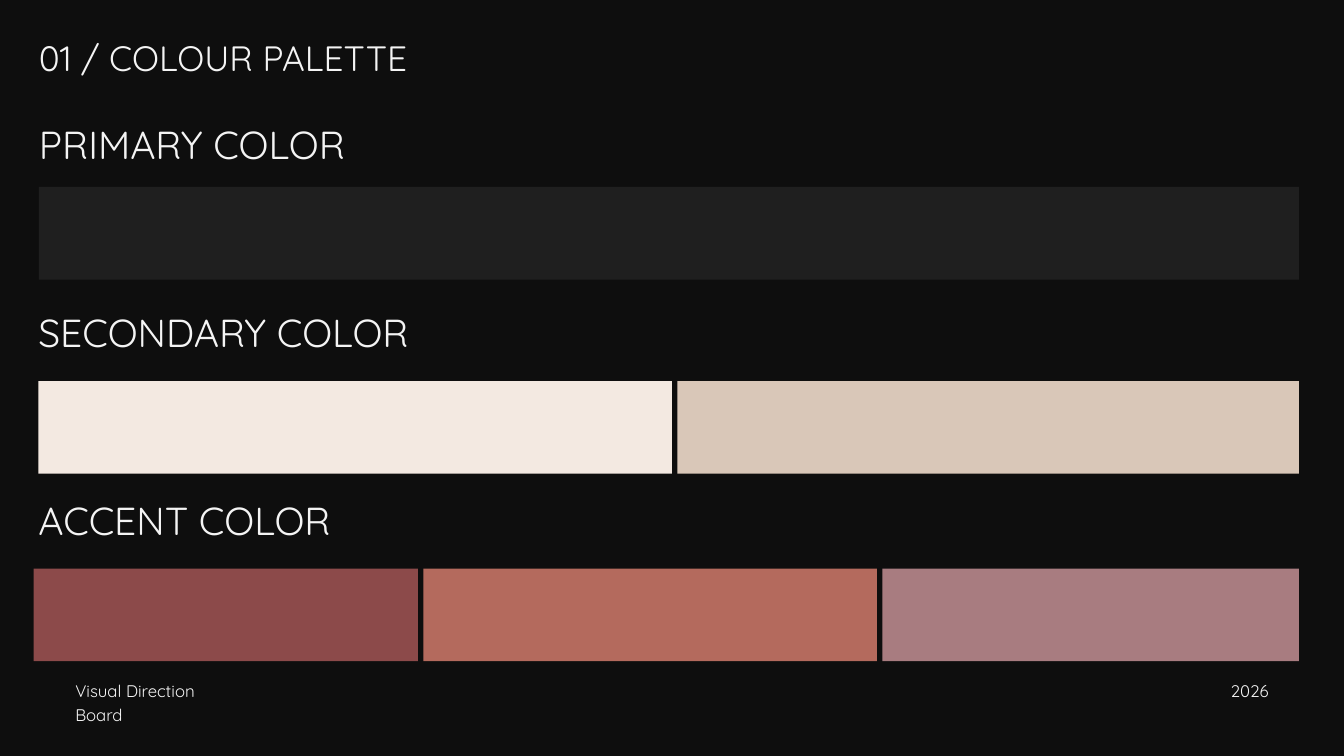
from pptx import Presentation
from pptx.dml.color import RGBColor
from pptx.enum import shapes, text
from pptx.util import Inches, Pt

BACK = RGBColor(0x0E, 0x0E, 0x0E)
LIGHT = RGBColor(0xF4, 0xF4, 0xF4)
COAL = RGBColor(0x1F, 0x1F, 0x1F)
CREAM = RGBColor(0xF3, 0xE9, 0xE1)
SAND = RGBColor(0xD9, 0xC7, 0xB8)
WINE = RGBColor(0x8C, 0x4A, 0x4A)
CLAY = RGBColor(0xB4, 0x6A, 0x5D)
MAUVE = RGBColor(0xA8, 0x7C, 0x80)

FONT = "Quicksand"
RIGHT = 19.33   # shared right edge of the bands
BAND = 1.38     # band height
GAP = 0.08      # space between swatches

# Heading, its left, top and width, then band top and (left, colour) swatches
GROUPS = [
    ("PRIMARY COLOR", 0.58, 1.68, 5.33, 2.78, [(0.58, COAL)]),
    ("SECONDARY COLOR", 0.57, 4.47, 7.58, 5.67, [(0.57, CREAM), (10.08, SAND)]),
    ("ACCENT COLOR", 0.57, 7.27, 7.58, 8.46,
     [(0.5, WINE), (6.3, CLAY), (13.13, MAUVE)]),
]


def style(box, words, size, lead, align=text.PP_ALIGN.LEFT):
    """Fill a text shape with one plain paragraph."""
    frame = box.text_frame
    frame.margin_left = frame.margin_right = 0
    frame.margin_top = frame.margin_bottom = 0
    frame.word_wrap = True
    frame.auto_size = text.MSO_AUTO_SIZE.SHAPE_TO_FIT_TEXT
    frame.vertical_anchor = text.MSO_ANCHOR.TOP
    frame.text = words
    para = frame.paragraphs[0]
    para.alignment = align
    para.line_spacing = Pt(lead)
    para.space_before = Pt(0)
    para.font.name = FONT
    para.font.size = Pt(size)
    para.font.color.rgb = LIGHT


def label(slide, at, *look):
    box = slide.shapes.add_textbox(*map(Inches, at))
    style(box, *look)


def title(slide, at, *look):
    box = slide.shapes.title
    box.left, box.top, box.width, box.height = map(Inches, at)
    style(box, *look)


def band(slide, top, swatches):
    """Lay swatches side by side, each ending a gap before the next."""
    ends = [left - GAP for left, _ in swatches[1:]] + [RIGHT]
    for (left, color), end in zip(swatches, ends):
        tile = slide.shapes.add_shape(
            shapes.MSO_SHAPE.RECTANGLE, Inches(left), Inches(top),
            Inches(end - left), Inches(BAND))
        tile.shadow.inherit = False
        tile.fill.solid()
        tile.fill.fore_color.rgb = color
        tile.line.fill.background()


def main():
    deck = Presentation()
    deck.slide_width, deck.slide_height = Inches(20), Inches(11.25)
    slide = deck.slides.add_slide(deck.slide_layouts[5])
    slide.background.fill.solid()
    slide.background.fill.fore_color.rgb = BACK

    title(slide, (0.58, 0.44, 9.14, 0.68), "01 / COLOUR PALETTE", 37.7, 52.8)

    # Palette groups
    for words, left, top, width, row, swatches in GROUPS:
        label(slide, (left, top, width, 0.78), words, 41.8, 58.5)
        band(slide, row, swatches)

    # Footer
    label(slide, (1.12, 10.08, 2.12, 1.02), "Visual Direction Board", 18, 25.2)
    label(slide, (16.76, 10.08, 2.12, 0.34), "2026", 18, 25.2,
          text.PP_ALIGN.RIGHT)

    deck.save("out.pptx")


if __name__ == "__main__":
    main()
